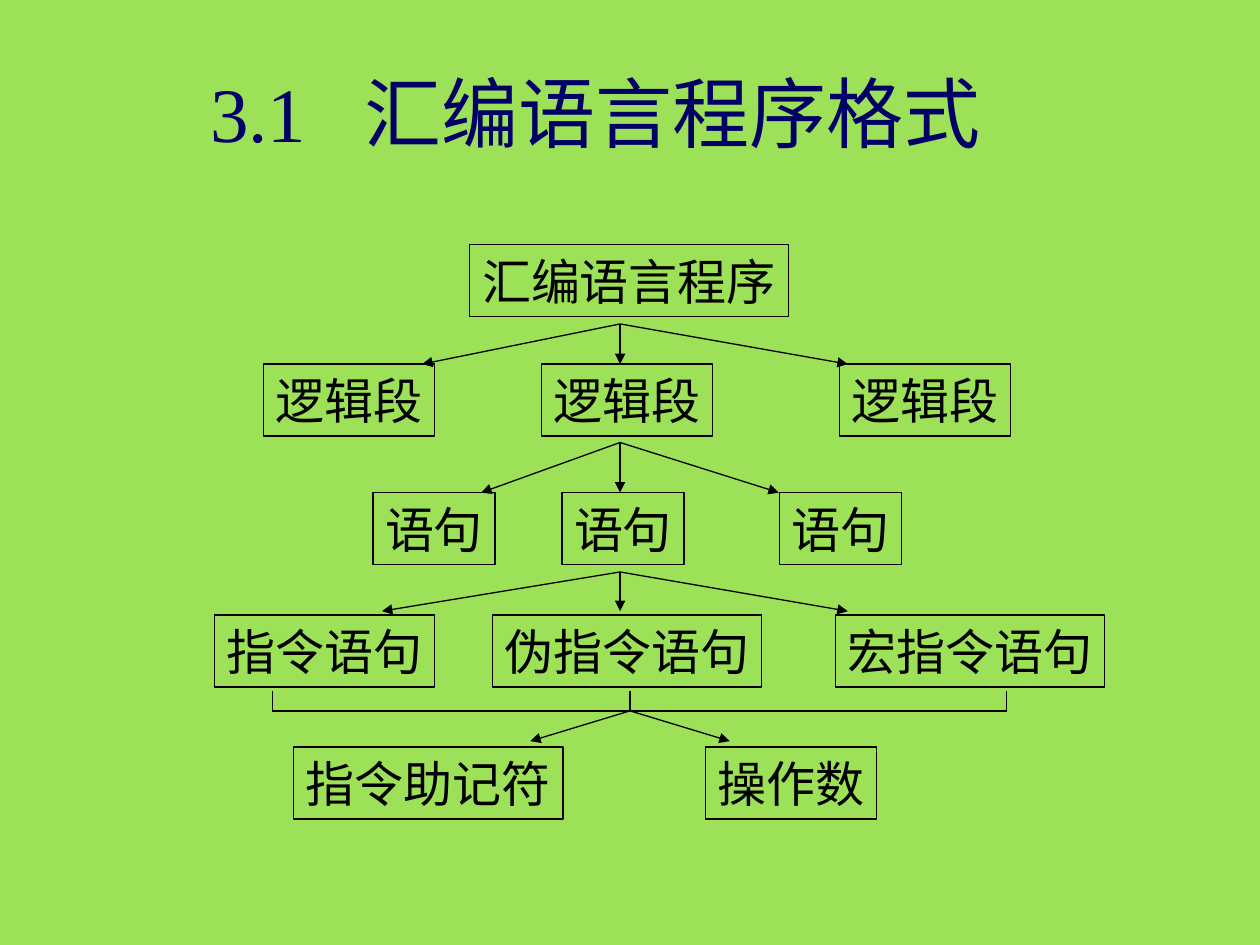
"""Build a slide with a tree of the parts of an assembly program."""
from dataclasses import dataclass

from lxml.etree import SubElement as Sub
from pptx import Presentation
from pptx.dml.color import RGBColor as Color
from pptx.enum.shapes import MSO_CONNECTOR as Link, MSO_SHAPE as Form
from pptx.enum.text import MSO_ANCHOR as Anchor, PP_ALIGN as Align
from pptx.oxml.ns import qn
from pptx.util import Cm, Pt


@dataclass(frozen=True)
class Theme:
    back: Color = Color(0x9C, 0xE1, 0x57)
    ink: Color = Color(0, 0, 0)
    navy: Color = Color(0, 0, 0x66)
    font: str = "Times New Roman"
    head: Pt = Pt(44)
    body: Pt = Pt(28)
    rule: Pt = Pt(0.75)


theme = Theme()


def style(para, size, color):
    para.alignment = Align.CENTER
    para.font.name = theme.font
    para.font.size = size
    para.font.color.rgb = color


def draw(x1, y1, x2, y2, arrow=False):
    line = slide.shapes.add_connector(Link.STRAIGHT, Cm(x1), Cm(y1), Cm(x2), Cm(y2))
    line.line.color.rgb = theme.ink
    line.line.width = theme.rule
    if arrow:
        Sub(line.line._get_or_add_ln(), qn("a:tailEnd"), type="triangle")
    Sub(line._element.spPr, qn("a:effectLst"))


deck = Presentation()
deck.slide_width, deck.slide_height = Cm(25.4), Cm(19.05)
slide = deck.slides.add_slide(deck.slide_layouts[6])
slide.background.fill.solid()
slide.background.fill.fore_color.rgb = theme.back

title = slide.shapes.add_textbox(Cm(2.9), Cm(1.19), Cm(18.21), Cm(2.13)).text_frame
title.word_wrap = True
title.vertical_anchor = Anchor.MIDDLE
para = title.paragraphs[0]
style(para, theme.head, theme.navy)
for text in ("3.1", " ", "汇编语言程序格式"):
    run = para.add_run()
    run.text = text
    if text == " ":
        run.font._element.set("spc", "2200")

rows = [
    (4.93, [(9.47, "汇编语言程序")]),
    (7.34, [(x, "逻辑段") for x in (5.31, 10.92, 16.92)]),
    (9.93, [(x, "语句") for x in (7.52, 11.33, 15.72)]),
    (12.4, [(4.32, "指令语句"), (9.93, "伪指令语句"), (16.84, "宏指令语句")]),
    (15.06, [(5.92, "指令助记符"), (14.22, "操作数")]),
]
for top, nodes in rows:
    for left, text in nodes:
        width = 0.99 * len(text) + 0.48
        box = slide.shapes.add_shape(
            Form.RECTANGLE, Cm(left), Cm(top), Cm(width), Cm(1.45))
        box.shadow.inherit = False
        box.fill.background()
        box.line.color.rgb = theme.ink
        box.line.width = theme.rule
        frame = box.text_frame
        frame.word_wrap = False
        frame.vertical_anchor = Anchor.MIDDLE
        frame.text = text
        style(frame.paragraphs[0], theme.body, theme.ink)

fans = [
    (12.5, 6.53, 7.34, (8.51, 12.5, 17.09)),
    (12.5, 8.92, 9.93, (9.7, 12.5, 15.7)),
    (12.5, 11.53, 12.32, (7.7, 12.5, 17.09)),
    (12.7, 14.33, 14.94, (10.69, 14.71)),
]
for hub, top, base, ends in fans:
    for end in ends:
        draw(hub, top, end, base, arrow=True)

stems = (5.49, 12.7, 20.29)
for x in stems:
    draw(x, 13.92, x, 14.33)
draw(stems[0], 14.33, stems[-1], 14.33)

deck.save("out.pptx")
